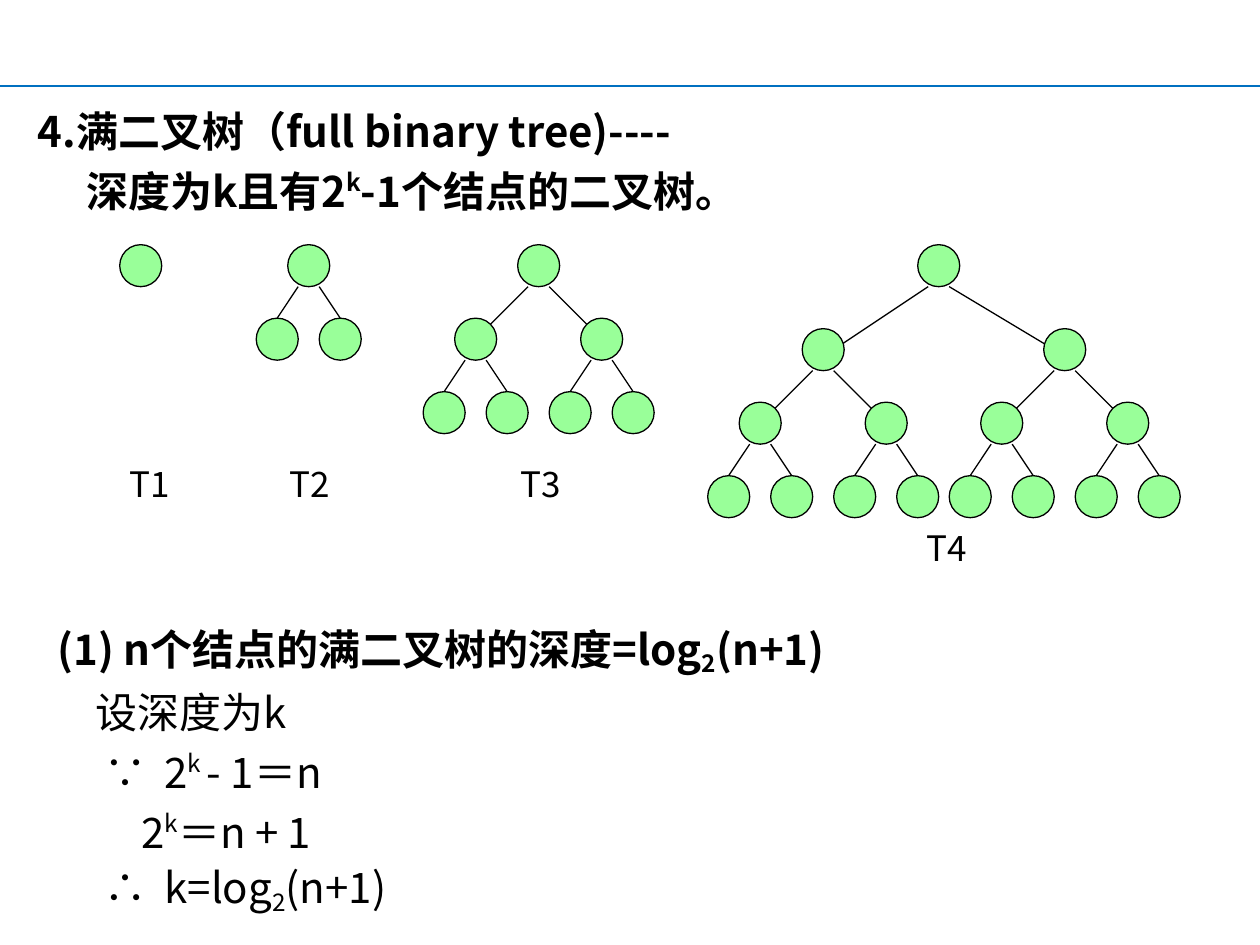
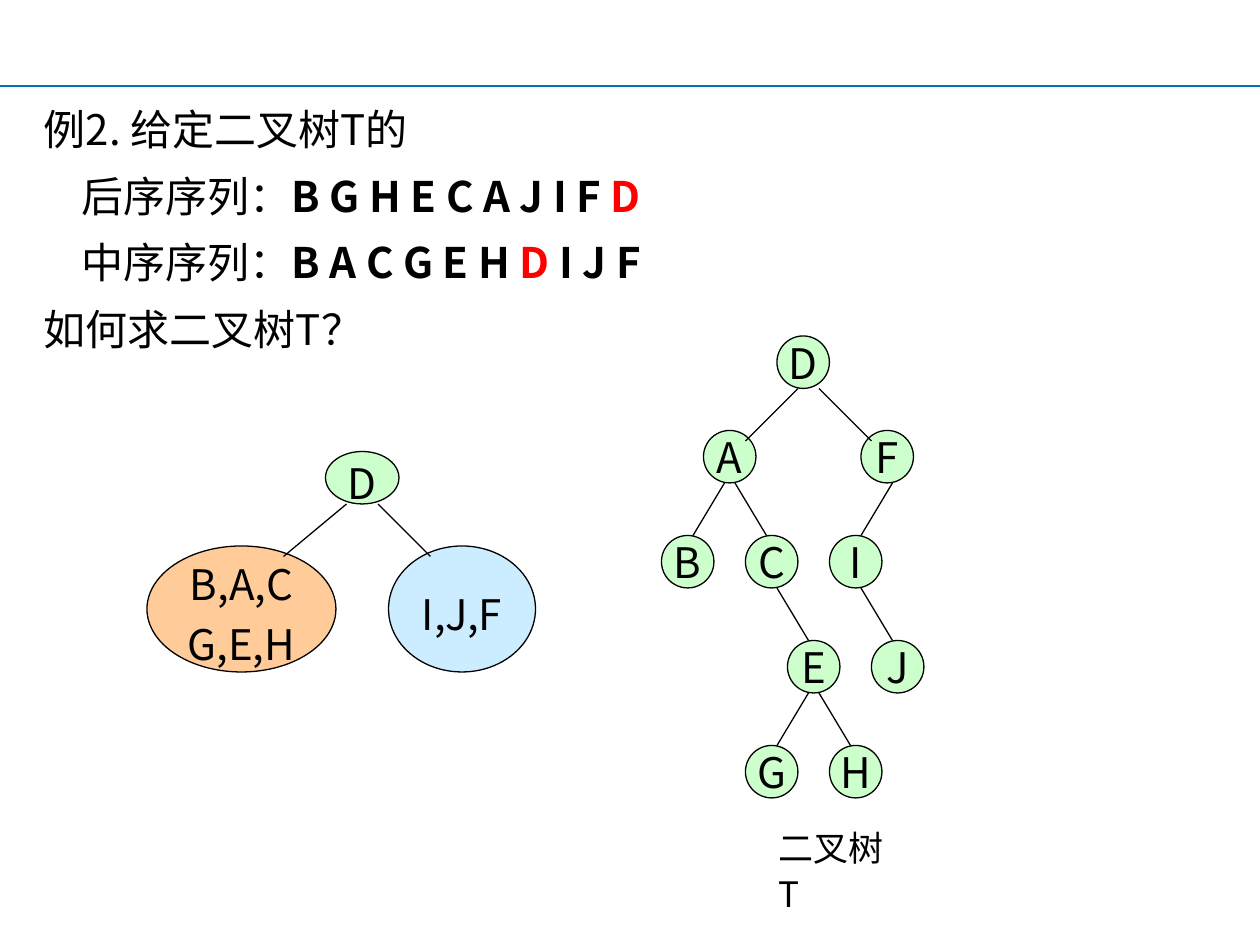
from dataclasses import dataclass
from typing import NamedTuple

from lxml import etree
from pptx import Presentation
from pptx import util as u
from pptx.dml.color import RGBColor
from pptx.enum import shapes, text
from pptx.oxml.ns import qn

PX = 7620  # EMU in one px, 120 px to the inch
FONT = "Noto Sans CJK SC"
BLACK, RED, BLUE = "000000", "FF0000", "0070C0"
GREEN, PALE_GREEN, ORANGE, PALE_BLUE = "99FF99", "CCFFCC", "FFCC99", "CCECFF"
SUPER, SUB = 38, -18
TITLE_ONLY, BLANK = 5, 6


class Box(NamedTuple):
    left: int
    top: int
    width: int
    height: int


class Span(NamedTuple):
    words: str
    bold: bool = False
    shift: int = 0
    color: str = BLACK


@dataclass
class Line:
    spans: list[Span]
    margin: int = 0
    indent: int = 0


@dataclass
class TextStyle:
    size: int = 24
    leading: int = 31
    gap: int = 3
    align: text.PP_ALIGN = text.PP_ALIGN.LEFT


class Fork(NamedTuple):
    """Offsets of the two subtrees, and how far an edge reaches into a child."""
    left: int
    right: int
    drop: int
    inward: int
    sink: int


class Branch(NamedTuple):
    parent: str
    child: str
    start: int
    end: int
    sink: int = 0


HEADING = TextStyle()
EXAMPLE = TextStyle(leading=28, gap=10)
LABEL = TextStyle(size=20, leading=26)
NODE = TextStyle(leading=29, align=text.PP_ALIGN.CENTER)
GROUP = TextStyle(leading=34, gap=0, align=text.PP_ALIGN.CENTER)


def px(length: int) -> u.Emu:
    return u.Emu(length * PX)


def rgb(color: str) -> RGBColor:
    return RGBColor.from_string(color)


def plain(words: str) -> Line:
    return Line([Span(words)])


def add_span(para, span: Span, size: int) -> None:
    run = para.add_run()
    run.text = span.words
    font = run.font
    font.size, font.bold, font.name = u.Pt(size), span.bold, FONT
    font.color.rgb = rgb(span.color)
    properties = run._r.get_or_add_rPr()
    etree.SubElement(properties, qn("a:ea"), typeface=FONT)
    if span.shift:
        properties.set("baseline", str(span.shift * 1000))


def write(frame, lines: list[Line], style: TextStyle) -> None:
    for index, line in enumerate(lines):
        para = frame.add_paragraph() if index else frame.paragraphs[0]
        para.alignment = style.align
        para.line_spacing = u.Pt(style.leading)
        para.space_before = u.Pt(style.gap if index else 0)
        properties = para._p.get_or_add_pPr()
        properties.set("marL", str(px(line.margin)))
        properties.set("indent", str(px(line.indent)))
        for span in line.spans:
            add_span(para, span, style.size)


def add_text(page, box: Box, lines: list[Line], style: TextStyle) -> None:
    frame = page.shapes.add_textbox(*map(px, box)).text_frame
    frame.word_wrap = True
    write(frame, lines, style)


def add_heading(page, box: Box, lines: list[Line]) -> None:
    title = page.shapes.title
    title.left, title.top, title.width, title.height = map(px, box)
    frame = title.text_frame
    frame.word_wrap = True
    frame.auto_size = text.MSO_AUTO_SIZE.NONE
    frame.vertical_anchor = text.MSO_ANCHOR.TOP
    write(frame, lines, HEADING)


def add_line(page, start: tuple[int, int], end: tuple[int, int],
             color: str = BLACK, weight: float = 0.75) -> None:
    line = page.shapes.add_connector(
        shapes.MSO_CONNECTOR.STRAIGHT, *map(px, start + end))
    line.line.color.rgb = rgb(color)
    line.line.width = u.Pt(weight)
    etree.SubElement(line._element.spPr, qn("a:effectLst"))


def add_ellipse(page, box: Box, fill: str, lines: list[Line],
                style: TextStyle = NODE) -> None:
    oval = page.shapes.add_shape(shapes.MSO_SHAPE.OVAL, *map(px, box))
    oval.shadow.inherit = False
    oval.fill.solid()
    oval.fill.fore_color.rgb = rgb(fill)
    oval.line.color.rgb = rgb(BLACK)
    oval.line.width = u.Pt(0.75)
    frame = oval.text_frame
    frame.margin_left = frame.margin_right = 0
    frame.margin_top = frame.margin_bottom = 0
    frame.word_wrap = False
    frame.vertical_anchor = text.MSO_ANCHOR.MIDDLE
    write(frame, lines, style)


def add_page(deck, layout: int):
    page = deck.slides.add_slide(deck.slide_layouts[layout])
    add_line(page, (0, 82), (1200, 82), BLUE, 1.5)
    return page


FORKS = {
    2: Fork(-30, 30, 70, 0, 0),
    3: Fork(-60, 60, 70, 10, 10),
    4: Fork(-110, 120, 80, 10, 20),
}


def add_full_tree(page, left: int, top: int, depth: int) -> None:
    size = 40
    center = left + size // 2
    if depth > 1:
        fork = FORKS[depth]
        for side, offset in ((-1, fork.left), (1, fork.right)):
            child_top = top + fork.drop
            add_line(page, (center + side * 10, top + size),
                     (center + offset - side * fork.inward, child_top + fork.sink))
            add_full_tree(page, left + offset, child_top, depth - 1)
    add_ellipse(page, Box(left, top, size, size), GREEN, [])


def build_full_tree_page(deck) -> None:
    page = add_page(deck, TITLE_ONLY)
    add_heading(page, Box(24, 91, 845, 118), [
        Line([Span("4.满二叉树（full binary tree)----", True)], 46, -46),
        Line([Span("深度为k且有2", True), Span("k", True, SUPER),
              Span("-1个结点的二叉树。", True)], 46),
    ])
    for depth, left in enumerate((114, 274, 493, 874), start=1):
        add_full_tree(page, left, 233, depth)
    labels = ((112, 431), (264, 431), (484, 431), (871, 492))
    for number, (left, top) in enumerate(labels, start=1):
        add_text(page, Box(left, top, 82, 52), [plain(f"T{number}")], LABEL)
    add_text(page, Box(43, 588, 900, 290), [
        Line([Span("(1) n个结点的满二叉树的深度=log", True),
              Span("2", True, SUB), Span("(n+1)", True)]),
        Line([Span("设深度为k")], 36),
        Line([Span("∵\t2"), Span("k ", shift=SUPER), Span("- 1＝n")], 102, -57),
        Line([Span("2"), Span("k", shift=SUPER), Span("＝n + 1")], 80),
        Line([Span("∴\tk=log"), Span("2", shift=SUB), Span("(n+1)")], 102, -57),
    ], HEADING)


NODES = {
    "D": (740, 320), "A": (670, 410), "F": (820, 410), "B": (630, 510),
    "C": (710, 510), "I": (790, 510), "E": (750, 610), "J": (830, 610),
    "G": (710, 710), "H": (790, 710),
}
BRANCHES = [
    Branch("D", "A", -5, 15, 10), Branch("D", "F", 15, -15, 10),
    Branch("A", "B", -5, 5), Branch("A", "C", 5, -5),
    Branch("F", "I", 5, 5), Branch("I", "J", 5, -5), Branch("C", "E", 5, -5),
    Branch("E", "G", -5, 5), Branch("E", "H", 5, -5),
]


def add_lettered_tree(page) -> None:
    size = 50
    for letter, (left, top) in NODES.items():
        add_ellipse(page, Box(left, top, size, size), PALE_GREEN, [plain(letter)])
    for branch in BRANCHES:
        left, top = NODES[branch.parent]
        child_left, child_top = NODES[branch.child]
        add_line(page, (left + size // 2 + branch.start, top + size),
                 (child_left + size // 2 + branch.end, child_top + branch.sink))


def build_example_page(deck) -> None:
    page = add_page(deck, BLANK)
    add_text(page, Box(30, 94, 720, 257), [
        plain("例2. 给定二叉树T的"),
        Line([Span("后序序列："), Span("B G H E C A J I F ", True),
              Span("D", True, color=RED)], 36),
        Line([Span("中序序列："), Span("B A C G E H ", True),
              Span("D", True, color=RED), Span(" I J F", True)], 36),
        plain("如何求二叉树T？"),
    ], EXAMPLE)
    add_ellipse(page, Box(310, 430, 70, 50), PALE_GREEN, [plain("D")], GROUP)
    add_ellipse(page, Box(140, 520, 180, 120), ORANGE,
                [plain("B,A,C"), plain("G,E,H")], GROUP)
    add_ellipse(page, Box(370, 520, 140, 120), PALE_BLUE, [plain("I,J,F")], GROUP)
    add_line(page, (330, 480), (270, 530))
    add_line(page, (360, 480), (410, 530))
    add_lettered_tree(page)
    add_text(page, Box(730, 778, 140, 52), [plain("二叉树T")], LABEL)


def main() -> None:
    deck = Presentation()
    deck.slide_width, deck.slide_height = px(1200), px(900)
    build_full_tree_page(deck)
    build_example_page(deck)
    deck.save("out.pptx")


if __name__ == "__main__":
    main()
